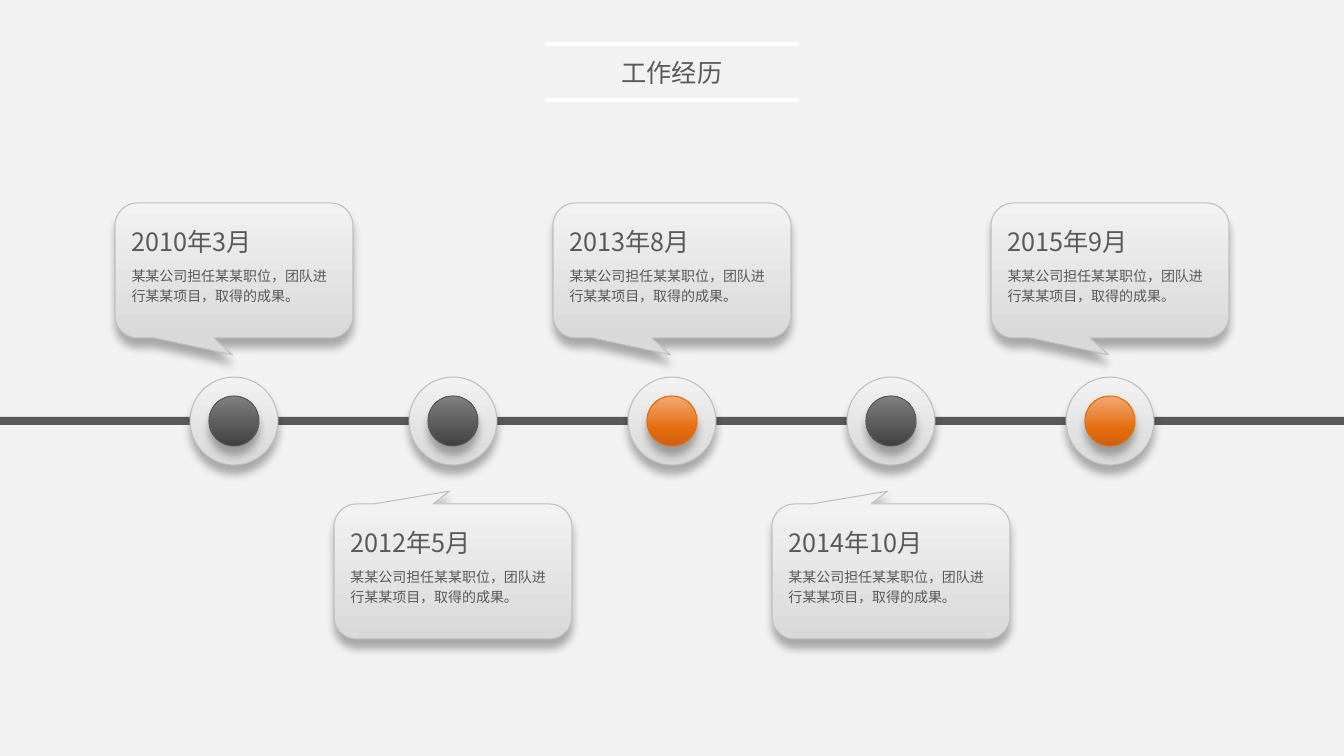
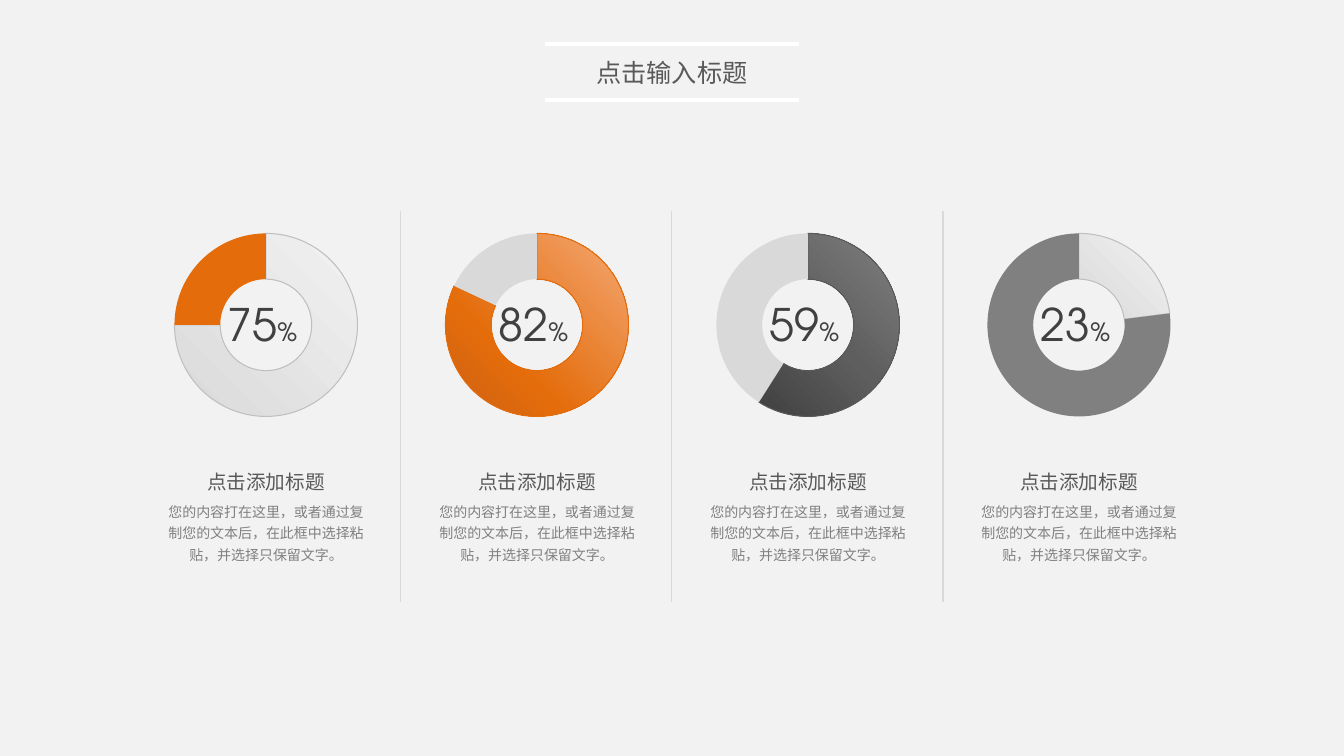
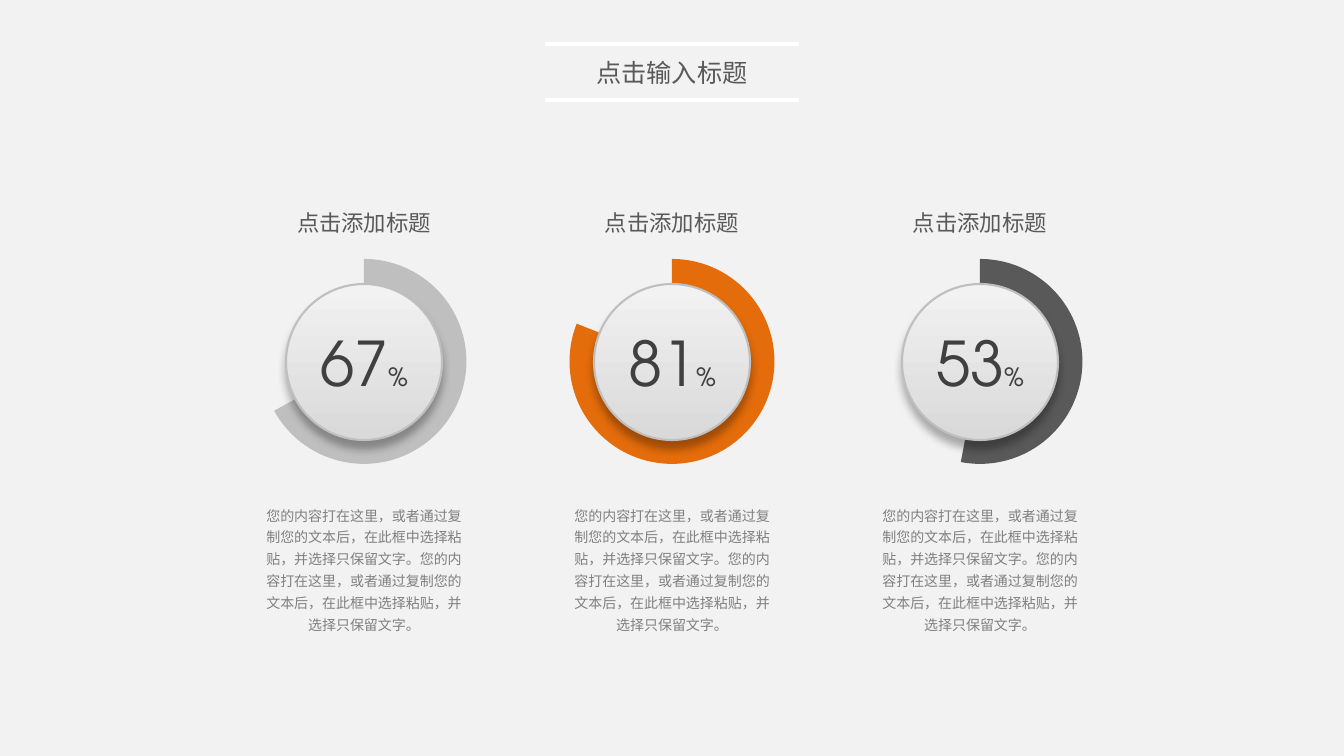
from dataclasses import dataclass
from typing import Optional, Union

from pptx import Presentation
from pptx.chart.data import CategoryChartData
from pptx.dml.color import RGBColor
from pptx.enum.chart import XL_CHART_TYPE
from pptx.enum.shapes import MSO_CONNECTOR, MSO_SHAPE
from pptx.enum.text import MSO_ANCHOR, MSO_AUTO_SIZE, PP_ALIGN
from pptx.oxml import parse_xml
from pptx.oxml.ns import nsdecls, qn
from pptx.util import Emu, Pt

# Enum members
RING = XL_CHART_TYPE.DOUGHNUT
LINE = MSO_CONNECTOR.STRAIGHT
RECT, OVAL = MSO_SHAPE.RECTANGLE, MSO_SHAPE.OVAL
BUBBLE = MSO_SHAPE.ROUNDED_RECTANGULAR_CALLOUT
LEFT, CENTER = PP_ALIGN.LEFT, PP_ALIGN.CENTER
TOP, MIDDLE = MSO_ANCHOR.TOP, MSO_ANCHOR.MIDDLE
FIXED = MSO_AUTO_SIZE.NONE

# Page, fonts and colours
WIDE, HIGH = 1344, 756
SCALE = 914400 / 100.8
MID = WIDE // 2
SANS, DIGIT, PLAIN = "Noto Sans CJK SC", "TeX Gyre Adventor", "Calibri"
WHITE, PAPER, PALE, SILVER = "FFFFFF", "F2F2F2", "D9D9D9", "BFBFBF"
GREY, INK, DARK, ORANGE = "808080", "595959", "404040", "E46C0A"

HEAD = "点击添加标题"
BODY = "您的内容打在这里，或者通过复制您的文本后，在此框中选择粘贴，并选择只保留文字。"


@dataclass(frozen=True)
class Tone:
    """A gradient from dark to light with its outline colour."""
    stops: tuple[tuple[int, str], ...]
    edge: str


@dataclass(frozen=True)
class Box:
    x: int
    y: int
    w: int
    h: int


@dataclass(frozen=True)
class Job:
    date: str
    tone: Tone


@dataclass(frozen=True)
class Share:
    value: int
    tone: Union[Tone, str]
    rest: Optional[str] = None


LIGHT = Tone(((0, PALE), (100, PAPER)), SILVER)
COAL = Tone(((0, DARK), (47, "5E5E5E"), (100, GREY)), INK)
FLAME = Tone(((0, "CC6016"), (33, ORANGE), (100, "F3A875")), ORANGE)


# Basic helpers
def px(size: int) -> Emu:
    return Emu(round(size * SCALE))


def place(box: Box) -> tuple[Emu, ...]:
    return px(box.x), px(box.y), px(box.w), px(box.h)


def hue(code: str) -> RGBColor:
    return RGBColor.from_string(code)


def paint(fill, tone: Union[Tone, str, None], angle: int) -> None:
    if isinstance(tone, str):
        fill.solid()
        fill.fore_color.rgb = hue(tone)
        return
    fill.background()
    if tone is None:
        return
    stops = "".join(
        f'<a:gs pos="{at * 1000}"><a:srgbClr val="{code}"/></a:gs>'
        for at, code in tone.stops)
    grad = parse_xml(
        f'<a:gradFill {nsdecls("a")} rotWithShape="1"><a:gsLst>{stops}</a:gsLst>'
        f'<a:lin ang="{angle * 60000}" scaled="0"/></a:gradFill>')
    props = fill._xPr
    props.replace(props.find(qn("a:noFill")), grad)


def edge(line, code: Optional[str], width: float = 0.75) -> None:
    if code is None:
        line.fill.background()
        return
    line.color.rgb = hue(code)
    line.width = Pt(width)


def add_run(para, text: str, size: int, code: str, font: str = SANS) -> None:
    run = para.add_run()
    run.text = text
    run.font.size = Pt(size)
    run.font.bold = False
    run.font.color.rgb = hue(code)
    run.font.name = font
    props = run._r.get_or_add_rPr()
    props.append(parse_xml(f'<a:ea {nsdecls("a")} typeface="{font}"/>'))


def add_share(para, value: int, size: int) -> None:
    add_run(para, str(value), size, DARK, DIGIT)
    add_run(para, "%", 18, DARK, DIGIT)


# Drawing
def add_line(slide, x1: int, y1: int, x2: int, y2: int,
             code: str, width: float) -> None:
    line = slide.shapes.add_connector(LINE, px(x1), px(y1), px(x2), px(y2))
    edge(line.line, code, width)
    line.element.spPr.append(parse_xml(f'<a:effectLst {nsdecls("a")}/>'))


def add_form(slide, kind, box: Box, tone: Union[Tone, str],
             width: float = 0.75):
    """Draw a flat shape, or a raised one when given a gradient."""
    form = slide.shapes.add_shape(kind, *place(box))
    form.shadow.inherit = False
    paint(form.fill, tone, 270)
    if isinstance(tone, str):
        edge(form.line, None)
        return form
    edge(form.line, tone.edge, width)
    form.element.spPr.find(qn("a:effectLst")).append(parse_xml(
        f'<a:outerShdw {nsdecls("a")} blurRad="76200" dist="76200" '
        'dir="5400000" algn="t" rotWithShape="0"><a:srgbClr val="000000">'
        '<a:alpha val="30000"/></a:srgbClr></a:outerShdw>'))
    return form


def add_text(slide, box: Box, align=CENTER, space: float = 1.0,
             pad: int = 5):
    """Add a wrapped text box and return its first paragraph."""
    frame = slide.shapes.add_textbox(*place(box)).text_frame
    frame.word_wrap = True
    frame.vertical_anchor = TOP
    frame.margin_top = frame.margin_bottom = px(pad)
    para = frame.paragraphs[0]
    para.alignment = align
    para.line_spacing = space
    return para


def add_ring(slide, box: Box, share: Share, size: int, hole: int,
             font: int) -> None:
    data = CategoryChartData()
    data.categories = ["1", "2"]
    data.add_series("Series 1", (share.value, 100 - share.value))
    chart = slide.shapes.add_chart(RING, *place(box), data).chart
    chart.has_legend = False
    chart.has_title = False
    chart.font.name = PLAIN
    chart.font.size = Pt(font)
    chart.font.color.rgb = hue("000000")
    plot = chart.plots[0]
    plot.vary_by_categories = False
    for i, tone in enumerate((share.tone, share.rest)):
        look = plot.series[0].points[i].format
        paint(look.fill, tone, 315)
        edge(look.line, tone.edge if isinstance(tone, Tone) else None)

    # Hole size and a centred plot area
    root = chart.element
    root.find(".//" + qn("c:holeSize")).set("val", str(hole))
    area = root.find(".//" + qn("c:plotArea"))
    for old in area.findall(qn("c:layout")):
        area.remove(old)
    w, h = round(size / box.w, 2), round(size / box.h, 2)
    marks = (("x", (1 - w) / 2), ("y", (1 - h) / 2), ("w", w), ("h", h))
    parts = "".join(f'<c:{tag} val="{val:.3f}"/>' for tag, val in marks)
    area.insert(0, parse_xml(
        f'<c:layout {nsdecls("c")}><c:manualLayout>'
        '<c:layoutTarget val="inner"/><c:xMode val="edge"/>'
        f'<c:yMode val="edge"/>{parts}</c:manualLayout></c:layout>'))


def add_page(deck, text: str):
    """Start a slide with the shared title between two rules."""
    slide = deck.slides.add_slide(deck.slide_layouts[5])
    for y in (100, 44):
        add_line(slide, MID - 127, y, MID + 127, y, WHITE, 2.25)
    title = slide.shapes.title
    title.left, title.top, title.width, title.height = place(
        Box(MID - 127, 52, 254, 40))
    frame = title.text_frame
    frame.auto_size = FIXED
    frame.vertical_anchor = MIDDLE
    para = frame.paragraphs[0]
    para.alignment = CENTER
    add_run(para, text, 18, INK)
    return slide


# Slides
def draw_jobs(deck) -> None:
    slide = add_page(deck, "工作经历")
    jobs = (Job("2010年3月", COAL), Job("2012年5月", COAL),
            Job("2013年8月", FLAME), Job("2014年10月", COAL),
            Job("2015年9月", FLAME))
    pitch, axis = 219, 421
    add_form(slide, RECT, Box(0, axis - 4, WIDE, 8), INK)
    for i, job in enumerate(jobs):
        mid = MID + (i - 2) * pitch
        for rad, tone in ((44, LIGHT), (25, job.tone)):
            add_form(slide, OVAL,
                     Box(mid - rad, axis - rad, 2 * rad, 2 * rad), tone)
        low = i % 2 == 1
        note = add_form(slide, BUBBLE,
                        Box(mid - 119, 504 if low else 203, 238, 135), LIGHT)
        tip = (-0.015, -0.595) if low else (-0.006, 0.625)
        note.adjustments[0], note.adjustments[1] = tip
        frame = note.text_frame
        frame.word_wrap = True
        frame.vertical_anchor = MIDDLE
        date, task = frame.paragraphs[0], frame.add_paragraph()
        task.space_before = Pt(6)
        for para in (date, task):
            para.alignment = LEFT
            para.line_spacing = Pt(14)
        add_run(date, job.date, 18, INK)
        add_run(task, "某某公司担任某某职位，团队进行某某项目，取得的成果。", 10, INK)


def draw_rings(deck) -> None:
    slide = add_page(deck, "点击输入标题")
    shares = (Share(75, LIGHT, ORANGE), Share(82, FLAME, PALE),
              Share(59, COAL, PALE), Share(23, LIGHT, GREY))
    first, pitch = 266, 271
    for i, share in enumerate(shares):
        mid = first + i * pitch
        add_ring(slide, Box(mid - 106, 216, 212, 218), share, 184, 84, 18)
        add_share(add_text(slide, Box(mid - 48, 292, 104, 65), LEFT),
                  share.value, 32)
        add_run(add_text(slide, Box(mid - 98, 458, 196, 31), space=1.5, pad=0),
                HEAD, 14, INK)
        add_run(add_text(slide, Box(mid - 110, 493, 220, 77), space=1.3),
                BODY, 10, GREY)
        if i:
            x = mid - pitch // 2 - 1
            add_line(slide, x, 211, x, 602, PALE, 0.75)


def draw_dials(deck) -> None:
    slide = add_page(deck, "点击输入标题")
    shares = (Share(67, SILVER), Share(81, ORANGE), Share(53, INK))
    for i, share in enumerate(shares):
        mid = MID + (i - 1) * 308
        add_ring(slide, Box(mid - 130, 245, 260, 233), share, 205, 78, 10)
        disc = add_form(slide, OVAL, Box(mid - 78, 284, 156, 156), LIGHT, 1.5)
        frame = disc.text_frame
        frame.margin_left = frame.margin_right = 0
        frame.vertical_anchor = MIDDLE
        para = frame.paragraphs[0]
        para.alignment = CENTER
        add_share(para, share.value, 44)
        add_run(add_text(slide, Box(mid - 88, 196, 176, 40), space=1.5, pad=0),
                HEAD, 16, INK)
        add_run(add_text(slide, Box(mid - 110, 497, 220, 140), space=1.3),
                BODY * 2, 10, GREY)


def main() -> None:
    deck = Presentation()
    deck.slide_width, deck.slide_height = px(WIDE), px(HIGH)
    paint(deck.slide_master.background.fill, PAPER, 0)
    draw_jobs(deck)
    draw_rings(deck)
    draw_dials(deck)
    deck.save("out.pptx")


if __name__ == "__main__":
    main()
